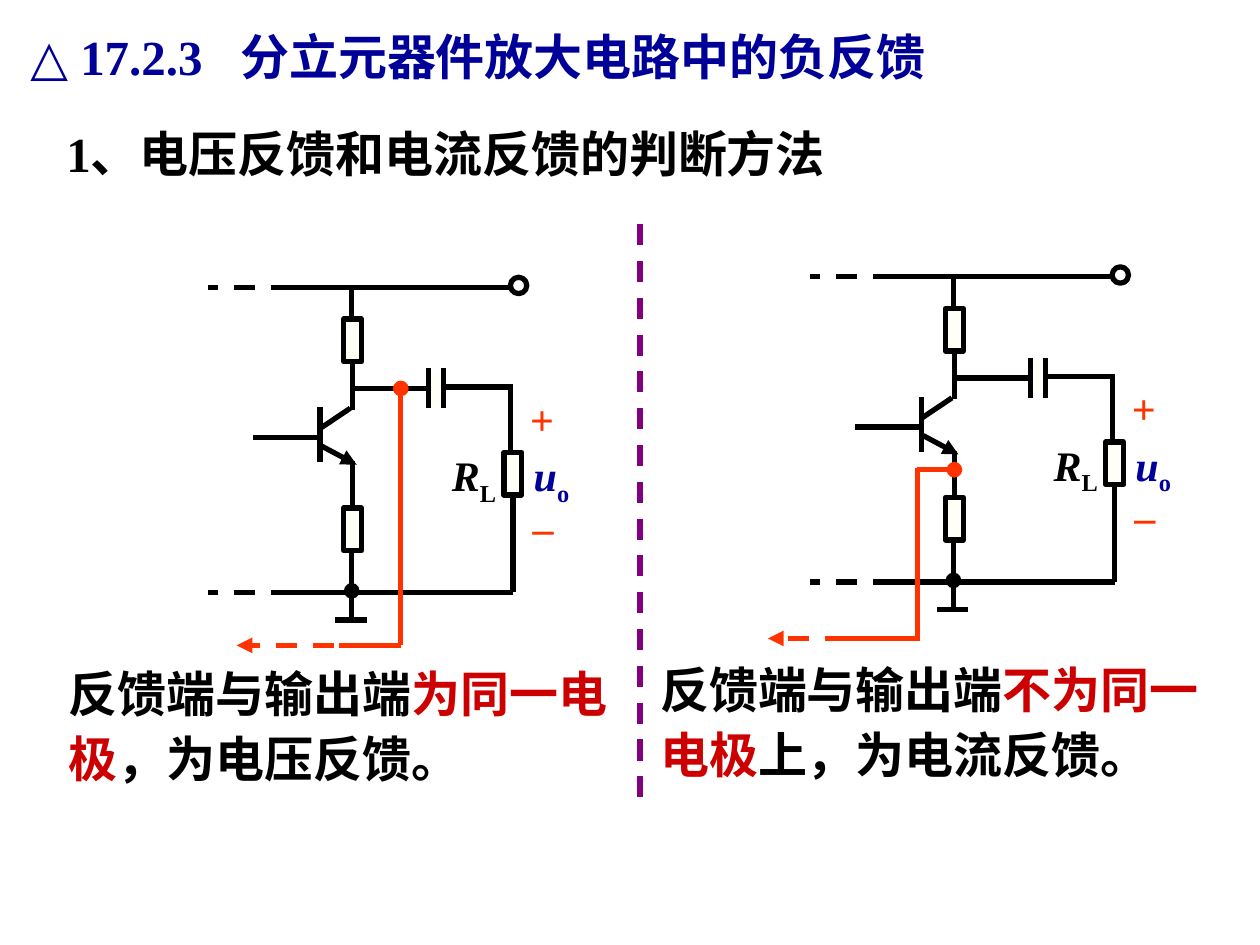
from pptx import Presentation
from pptx.dml.color import RGBColor
from pptx.enum.dml import MSO_LINE
from pptx.enum.shapes import MSO_CONNECTOR, MSO_SHAPE
from pptx.enum.text import MSO_ANCHOR, MSO_AUTO_SIZE, PP_ALIGN
from pptx.oxml.ns import qn
from pptx.util import Cm, Pt
from lxml.etree import SubElement

BLACK = RGBColor(0x00, 0x00, 0x00)
WHITE = RGBColor(0xFF, 0xFF, 0xFF)
IVORY = RGBColor(0xFF, 0xFF, 0xF7)
NAVY = RGBColor(0x00, 0x00, 0x99)
RED = RGBColor(0xCC, 0x00, 0x00)
ORANGE = RGBColor(0xFF, 0x33, 0x00)
PURPLE = RGBColor(0x80, 0x00, 0x80)
FONT = "Times New Roman"


def add_run(paragraph, text, color=BLACK, size=28, italic=False, subscript=False):
    run = paragraph.add_run()
    run.text = text
    run.font.name = FONT
    run.font.size = Pt(size)
    run.font.bold = True
    run.font.italic = italic
    run.font.color.rgb = color
    if subscript:
        run._r.get_or_add_rPr().set("baseline", "-25000")


def add_text(shapes, box, runs, wrap=True, line_spacing=None):
    """Each run is a text and a dictionary of its format."""
    textbox = shapes.add_textbox(*map(Cm, box))
    textbox.text_frame.word_wrap = wrap
    paragraph = textbox.text_frame.paragraphs[0]
    if line_spacing:
        paragraph.line_spacing = line_spacing
    for text, style in runs:
        add_run(paragraph, text, **style)


def add_line(shapes, origin, start, end, color=BLACK, dashed=False, head=None, tail=None):
    left, top = origin
    connector = shapes.add_connector(
        MSO_CONNECTOR.STRAIGHT,
        Cm(left + start[0]), Cm(top + start[1]), Cm(left + end[0]), Cm(top + end[1]))
    connector.line.color.rgb = color
    connector.line.width = Pt(3)
    if dashed:
        connector.line.dash_style = MSO_LINE.DASH
    properties = connector._element.spPr
    outline = properties.find(qn("a:ln"))
    for tag, kind in (("a:headEnd", head), ("a:tailEnd", tail)):
        if kind:
            SubElement(outline, qn(tag), type=kind)
    SubElement(properties, qn("a:effectLst"))


def add_part(shapes, origin, box, kind=MSO_SHAPE.RECTANGLE, fill=IVORY, outline=BLACK):
    x, y, width, height = box
    shape = shapes.add_shape(
        kind, Cm(origin[0] + x), Cm(origin[1] + y), Cm(width), Cm(height))
    shape.shadow.inherit = False
    if fill is None:
        shape.fill.background()
    else:
        shape.fill.solid()
        shape.fill.fore_color.rgb = fill
    shape.line.color.rgb = outline
    shape.line.width = Pt(3)


def add_circuit(slide, origin):
    shapes = slide.shapes.add_group_shape().shapes

    def wire(start, end, **style):
        add_line(shapes, origin, start, end, **style)

    # Transistor
    wire((2.26, 2.62), (2.26, 3.73))
    wire((2.26, 3.05), (2.87, 2.64))
    wire((2.29, 3.4), (3, 3.78), tail="triangle")
    wire((0.91, 3.23), (2.29, 3.23))
    # Supply and ground rails
    for y, right in ((0.2, 6.07), (6.35, 6.15)):
        wire((right, y), (1.42, y))
        wire((2.44, y), (0, y), dashed=True)
    add_part(shapes, origin, (6.1, 0, 0.33, 0.33), MSO_SHAPE.OVAL, fill=None)
    wire((2.9, 6.32), (2.9, 6.91), head="oval")
    wire((2.57, 6.91), (3.2, 6.91))
    # Collector, emitter and load resistors
    for x, y in ((2.74, 0.84), (2.74, 4.65), (5.97, 3.53)):
        add_part(shapes, origin, (x, y, 0.36, 0.86))
    for x, top, bottom in ((2.9, 0.2, 0.81), (2.92, 1.68, 2.67), (2.92, 3.71, 4.65),
                           (2.9, 5.54, 6.38), (6.1, 2.26, 3.51), (6.15, 4.37, 6.35)):
        wire((x, top), (x, bottom))
    # Output capacitor
    wire((2.95, 2.24), (4.45, 2.24))
    wire((4.78, 2.21), (6.15, 2.21))
    add_part(shapes, origin, (4.47, 1.88, 0.25, 0.74), outline=WHITE)
    for x in (4.45, 4.75):
        wire((x, 1.83), (x, 2.64))
    # Output labels
    sign = dict(size=24, color=ORANGE)
    labels = [((6.25, 2.21, 1, 1.27), [("+", sign)]),
              ((6.3, 4.39, 0.91, 1.27), [("–", sign)])]
    for symbol, index, color, x, width in (("u", "o", NAVY, 6.32, 1.22),
                                           ("R", "L", BLACK, 4.67, 1.4)):
        style = dict(size=24, color=color)
        labels.append(((x, 3.35, width, 1.42),
                       [(symbol, dict(style, italic=True)),
                        (index, dict(style, subscript=True))]))
    for (x, y, width, height), runs in labels:
        add_text(shapes, (origin[0] + x, origin[1] + y, width, height), runs, wrap=False)


def add_feedback(slide, origin, segments):
    shapes = slide.shapes.add_group_shape().shapes
    for start, end, style in segments:
        add_line(shapes, origin, start, end, color=ORANGE, **style)


def add_conclusion(slide, left, top, condition, result):
    add_text(slide.shapes, (left, top, 11.63, 2.87),
             [("反馈端与输出端", {}), (condition, dict(color=RED)), (result, {})],
             line_spacing=1.1)


def format_title(slide, box):
    title = slide.shapes.title
    title.left, title.top, title.width, title.height = map(Cm, box)
    frame = title.text_frame
    frame.vertical_anchor = MSO_ANCHOR.MIDDLE
    frame.auto_size = MSO_AUTO_SIZE.NONE
    frame.word_wrap = True
    paragraph = frame.paragraphs[0]
    paragraph.alignment = PP_ALIGN.LEFT
    tabs = SubElement(paragraph._p.get_or_add_pPr(), qn("a:tabLst"))
    SubElement(tabs, qn("a:tab"), pos=str(Cm(4.23)), algn="l")
    add_run(paragraph, "△ 17.2.3\t分立元器件放大电路中的负反馈", color=NAVY)


def main():
    presentation = Presentation()
    presentation.slide_width, presentation.slide_height = Cm(25.4), Cm(19.05)
    slide = presentation.slides.add_slide(presentation.slide_layouts[5])
    format_title(slide, (0.36, 0.28, 19.96, 1.68))
    add_text(slide.shapes, (1.09, 2.13, 15.98, 3.1),
             [("1、电压反馈和电流反馈的判断方法", {})], line_spacing=1.2)
    add_line(slide.shapes, (12.9, 4.52), (0, 0), (0, 11.79), color=PURPLE, dashed=True)

    arrow = dict(dashed=True, tail="triangle")
    voltage_origin, current_origin = (4.19, 5.59), (16.32, 5.38)
    add_circuit(slide, voltage_origin)
    add_feedback(slide, voltage_origin, [
        ((3.89, 2.24), (3.89, 7.42), dict(head="oval")),
        ((3.89, 7.42), (2.64, 7.42), {}),
        ((2.54, 7.42), (0.58, 7.42), arrow)])
    add_conclusion(slide, 1.14, 13.13, "为同一电极", "，为电压反馈。")

    add_circuit(slide, current_origin)
    add_feedback(slide, current_origin, [
        ((2.18, 4.06), (2.18, 7.54), {}),
        ((2.21, 7.49), (0.33, 7.49), {}),
        ((1.47, 7.49), (-0.84, 7.49), arrow),
        ((2.16, 4.09), (2.92, 4.09), dict(tail="oval"))])
    add_conclusion(slide, 13.06, 13.06, "不为同一电极", "上，为电流反馈。")
    presentation.save("out.pptx")


if __name__ == "__main__":
    main()
